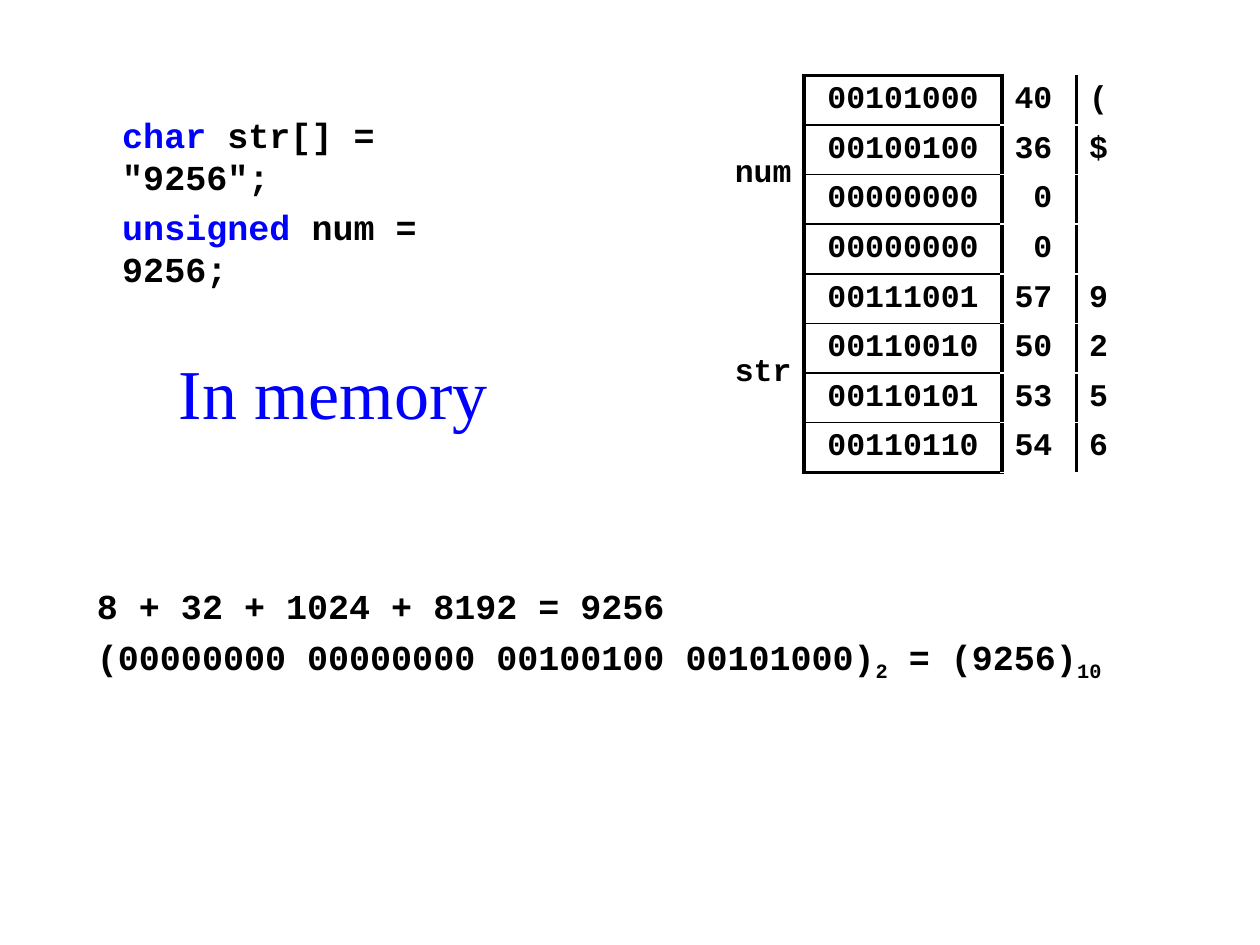
from lxml import etree
from pptx import Presentation
from pptx.dml.color import RGBColor
from pptx.enum import text
from pptx.oxml.ns import qn
from pptx.util import Cm, Pt

BLACK, BLUE = "000000", "0000FF"
MONO, SERIF = "Courier New", "Times New Roman"


def add_span(para, words, size, color=BLACK, name=MONO, bold=True):
    span = para.add_run()
    span.text = words
    span.font.size = Pt(size)
    span.font.name = name
    span.font.bold = bold
    span.font.color.rgb = RGBColor.from_string(color)
    return span


def add_border(cell, side, width):
    """Draw one solid black edge; call in the order L, R, T, B, before the fill."""
    line = etree.SubElement(cell._tc.get_or_add_tcPr(), qn("a:ln" + side), w=str(Pt(width)))
    fill = etree.SubElement(line, qn("a:solidFill"))
    etree.SubElement(fill, qn("a:srgbClr"), val=BLACK)


deck = Presentation()
deck.slide_width, deck.slide_height = Cm(25.4), Cm(19.05)
page = deck.slides.add_slide(deck.slide_layouts.get_by_name("Two Content"))
title, code, total = page.placeholders

# Title
title.left, title.top, title.width, title.height = Cm(3.35), Cm(6.78), Cm(7.16), Cm(2.21)
title.text_frame.auto_size = text.MSO_AUTO_SIZE.NONE
title.text_frame.vertical_anchor = text.MSO_ANCHOR.MIDDLE
heading = title.text_frame.paragraphs[0]
heading.alignment = text.PP_ALIGN.LEFT
add_span(heading, "In memory", 40, BLUE, SERIF, False)

# Declarations and the sum; each span is (words, style)
bodies = [
    (code, (2.21, 2.03, 8.99, 2.01), [
        [("char ", "keyword"), ('str[] = "9256";', "plain")],
        [("unsigned ", "keyword"), ("num = 9256;", "plain")],
    ]),
    (total, (1.7, 11.53, 21.01, 2.01), [
        [("8 + 32 + 1024 + 8192 = 9256", "plain")],
        [("(00000000 00000000 00100100 00101000)", "plain"), ("2", "subscript"),
         (" = (9256)", "plain"), ("10", "subscript")],
    ]),
]
for box, place, lines in bodies:
    box.left, box.top, box.width, box.height = map(Cm, place)
    frame = box.text_frame
    frame.auto_size = text.MSO_AUTO_SIZE.NONE
    frame.margin_top = Cm(0.25)
    for number, spans in enumerate(lines):
        para = frame.add_paragraph() if number else frame.paragraphs[0]
        settings = para._p.get_or_add_pPr()
        settings.set("marL", "0")
        settings.set("indent", "0")
        etree.SubElement(settings, qn("a:buNone"))
        para.space_before = Pt(5 if number else 0)
        for words, style in spans:
            span = add_span(para, words, 20, BLUE if style == "keyword" else BLACK)
            if style == "subscript":
                span._r.get_or_add_rPr().set("baseline", "-25000")

# Memory table: variable, bits, decimal value, character
memory = [
    ("num", "00101000", "40", "("),
    ("", "00100100", "36", "$"),
    ("", "00000000", " 0", ""),
    ("", "00000000", " 0", ""),
    ("str", "00111001", "57", "9"),
    ("", "00110010", "50", "2"),
    ("", "00110101", "53", "5"),
    ("", "00110110", "54", "6"),
]
widths = [2.01, 3.99, 1.5, 0.99]
aligns = [text.PP_ALIGN.RIGHT, text.PP_ALIGN.CENTER, text.PP_ALIGN.LEFT, text.PP_ALIGN.LEFT]
last = len(memory) - 1
table = page.shapes.add_table(len(memory), len(widths), Cm(14.2), Cm(1.52),
                              Cm(sum(widths)), Cm(8)).table
table.first_row = table.horz_banding = False
for column, width in zip(table.columns, widths):
    column.width = Cm(width)
for first in (0, 4):
    table.cell(first, 0).merge(table.cell(first + 3, 0))

for row, values in enumerate(memory):
    table.rows[row].height = Cm(1)
    for col, value in enumerate(values):
        cell = table.cell(row, col)
        cell.vertical_anchor = text.MSO_ANCHOR.MIDDLE
        cell.margin_top = cell.margin_bottom = Cm(0.1)
        if col in (1, 2):
            add_border(cell, "L", 2.25)
        if col in (0, 1):
            add_border(cell, "R", 2.25)
        if col == 1:
            add_border(cell, "T", 2.25 if row == 0 else 1)
            add_border(cell, "B", 2.25 if row == last else 1)
        cell.fill.background()
        if value:
            para = cell.text_frame.paragraphs[0]
            para.alignment = aligns[col]
            add_span(para, value, 18)

deck.save("out.pptx")
